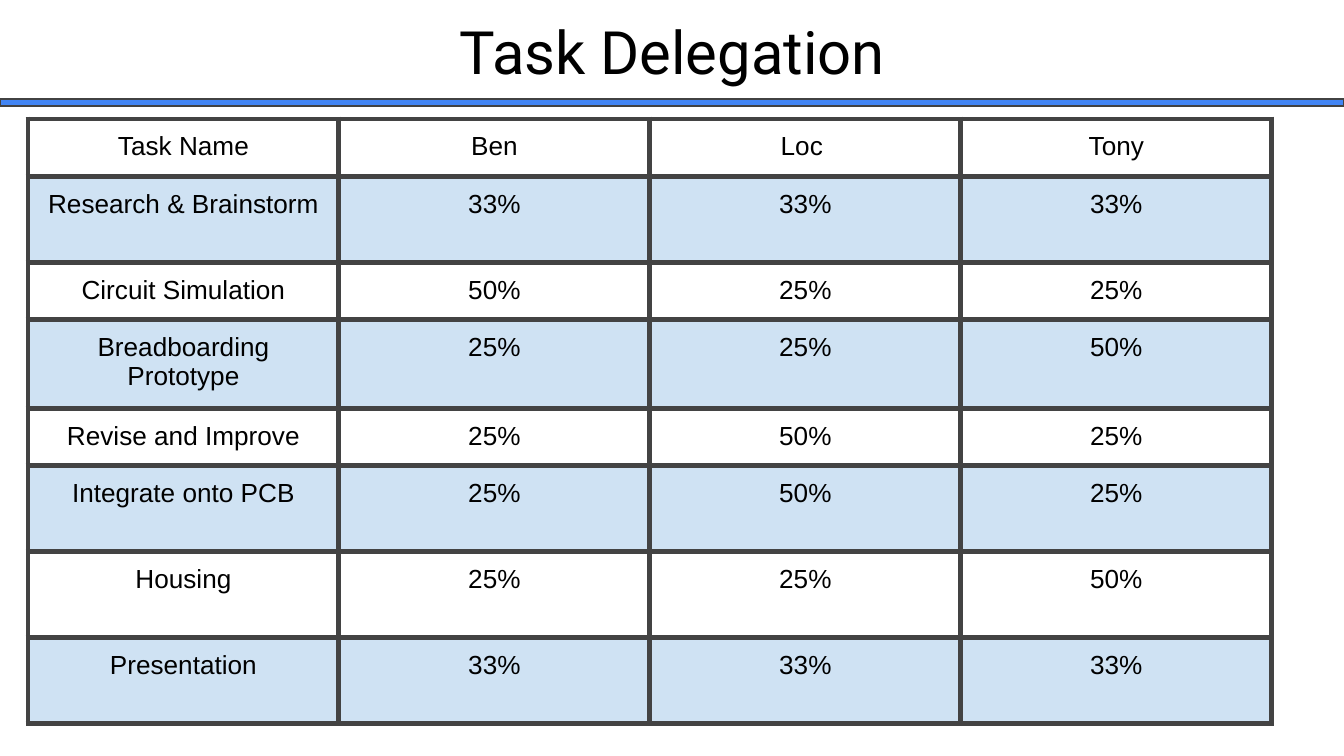
from dataclasses import dataclass

from lxml.etree import SubElement
from pptx import Presentation
from pptx.dml.color import RGBColor as RGB
from pptx.enum.shapes import MSO_SHAPE as SHAPE
from pptx.enum.text import MSO_ANCHOR as ANCHOR, PP_ALIGN as ALIGN
from pptx.oxml.ns import qn
from pptx.util import Emu, Pt


@dataclass(frozen=True)
class Theme:
    """Colours, fonts and sizes of the slide."""
    ink: str = "000000"
    bar: str = "4285F4"
    bar_line: str = "424242"
    grid: str = "434343"
    band: str = "CFE2F3"
    title_font: str = "Roboto"
    body_font: str = "Arial"
    title_size: int = 32
    body_size: int = 14
    bar_width: float = 0.75
    grid_width: int = 3


THEME = Theme()
SLIDE_W, SLIDE_H = 1344, 756
PAD = 13
COL_W, SHORT, TALL = 311, 56, 86
ROWS = [
    (SHORT, "Task Name", "Ben", "Loc ", "Tony"),
    (TALL, "Research & Brainstorm", "33%", "33%", "33%"),
    (SHORT, "Circuit Simulation", "50%", "25%", "25%"),
    (TALL, "Breadboarding Prototype", "25%", "25%", "50%"),
    (SHORT, "Revise and Improve", "25%", "50%", "25%"),
    (TALL, "Integrate onto PCB", "25%", "50%", "25%"),
    (TALL, "Housing", "25%", "25%", "50%"),
    (TALL, "Presentation", "33%", "33%", "33%"),
]


def px(n):
    """Turn pixels into EMU."""
    return Emu(round(n * 914400 * 10 / SLIDE_W))


def set_margins(box):
    """Give a text frame or cell equal margins."""
    box.margin_left = box.margin_right = px(PAD)
    box.margin_top = box.margin_bottom = px(PAD)


def write(tf, text, font, size):
    """Write one centred paragraph."""
    p = tf.paragraphs[0]
    p.text = text
    p.alignment = ALIGN.CENTER
    p.font.name = font
    p.font.size = Pt(size)
    p.font.color.rgb = RGB.from_string(THEME.ink)


def add_title(s, text, x, y, w, h):
    """Add the bottom-anchored title."""
    tf = s.shapes.add_textbox(px(x), px(y), px(w), px(h)).text_frame
    tf.word_wrap = True
    tf.vertical_anchor = ANCHOR.BOTTOM
    set_margins(tf)
    write(tf, text, THEME.title_font, THEME.title_size)


def add_bar(s, x, y, w, h):
    """Add the outlined bar below the title."""
    sp = s.shapes.add_shape(SHAPE.RECTANGLE, px(x), px(y), px(w), px(h))
    sp.shadow.inherit = False
    sp.fill.solid()
    sp.fill.fore_color.rgb = RGB.from_string(THEME.bar)
    sp.line.color.rgb = RGB.from_string(THEME.bar_line)
    sp.line.width = Pt(THEME.bar_width)


def set_borders(cell):
    """Draw all four borders of a cell."""
    tc_pr = cell._tc.get_or_add_tcPr()
    for side in ("lnL", "lnR", "lnT", "lnB"):
        ln = SubElement(tc_pr, qn(f"a:{side}"), w=str(Pt(THEME.grid_width)))
        fill = SubElement(ln, qn("a:solidFill"))
        SubElement(fill, qn("a:srgbClr"), val=THEME.grid)


def fill_cell(cell, text, banded):
    """Set the text, borders and fill of a cell."""
    set_margins(cell)
    write(cell.text_frame, text, THEME.body_font, THEME.body_size)
    set_borders(cell)
    if banded:
        cell.fill.solid()
        cell.fill.fore_color.rgb = RGB.from_string(THEME.band)
    else:
        cell.fill.background()


def add_task_table(s, rows, x, y):
    """Add the table of tasks and shares."""
    n_cols = len(rows[0]) - 1
    height = sum(row[0] for row in rows)
    table = s.shapes.add_table(len(rows), n_cols, px(x), px(y),
                               px(COL_W * n_cols), px(height)).table
    table.first_row = table.horz_banding = False
    for col in table.columns:
        col.width = px(COL_W)
    for i, (row_h, *texts) in enumerate(rows):
        table.rows[i].height = px(row_h)
        banded = i % 2 == 1
        for j, text in enumerate(texts):
            fill_cell(table.cell(i, j), text, banded)


def main():
    """Build and save the slide."""
    prs = Presentation()
    prs.slide_width, prs.slide_height = px(SLIDE_W), px(SLIDE_H)
    s = prs.slides.add_slide(prs.slide_layouts[6])
    add_title(s, "Task Delegation", 3, -7, 1339, 106)
    add_bar(s, 0, 99, SLIDE_W, 7)
    add_task_table(s, ROWS, 28, 119)
    prs.save("out.pptx")


if __name__ == "__main__":
    main()
